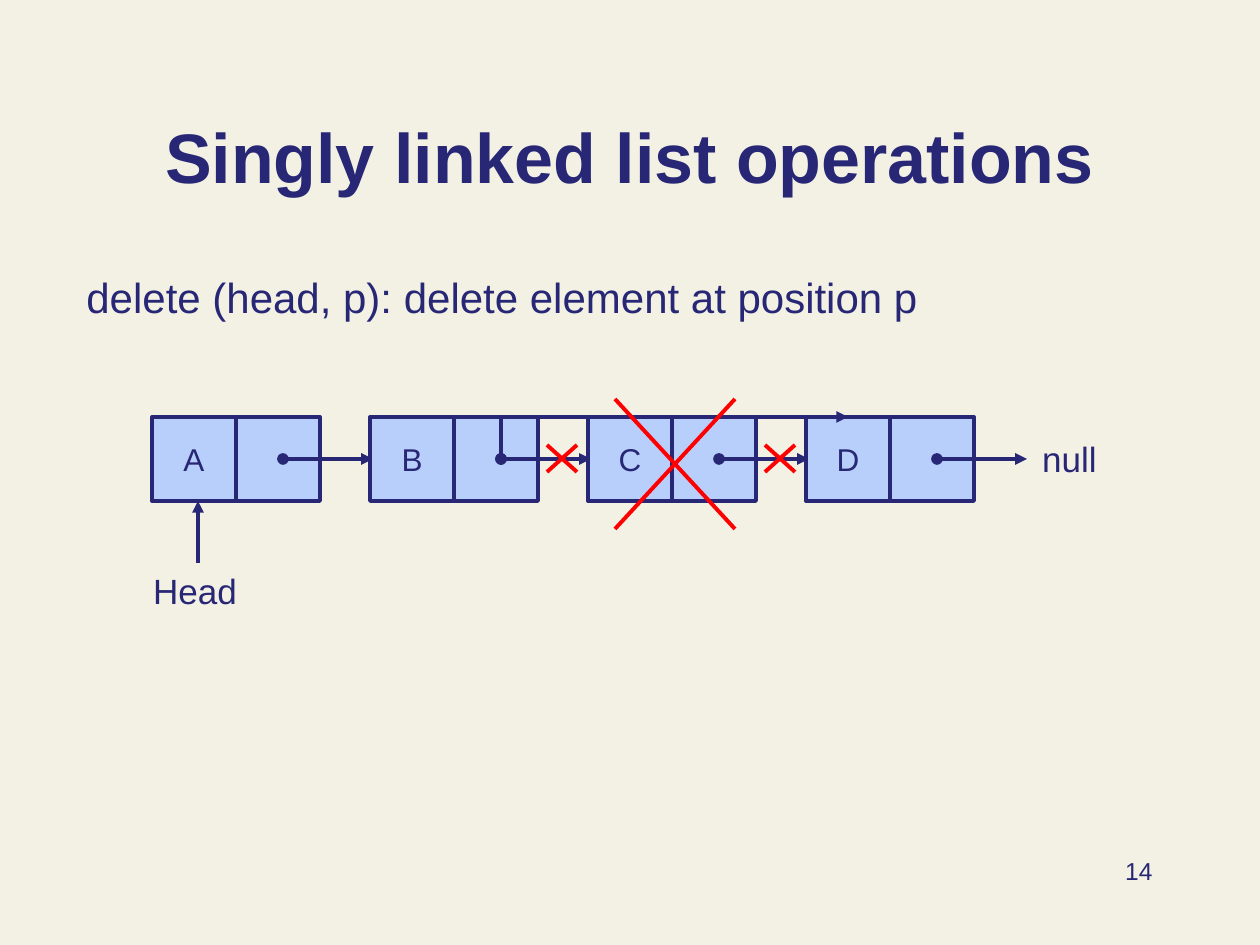
"""Builds a slide on deleting an element from a singly linked list."""
from lxml import etree
from pptx import Presentation
from pptx.dml.color import RGBColor
from pptx.enum.shapes import MSO_CONNECTOR, MSO_SHAPE
from pptx.enum.text import MSO_ANCHOR, MSO_AUTO_SIZE, PP_ALIGN
from pptx.oxml.ns import qn
from pptx.util import Pt

STRAIGHT, ELBOW = MSO_CONNECTOR.STRAIGHT, MSO_CONNECTOR.ELBOW
RECTANGLE = MSO_SHAPE.RECTANGLE
TOP, MIDDLE, BOTTOM = MSO_ANCHOR.TOP, MSO_ANCHOR.MIDDLE, MSO_ANCHOR.BOTTOM
LEFT, CENTER, RIGHT = PP_ALIGN.LEFT, PP_ALIGN.CENTER, PP_ALIGN.RIGHT
NO_AUTOFIT = MSO_AUTO_SIZE.NONE
TITLE_ONLY = 5

COLORS = {"background": "F3F1E4", "ink": "272776", "cell": "B8CFFB", "delete": "FF0000"}
FONT = "Arial"
LINE_WIDTH = Pt(2.25)
EMU_PER_PX = 914400 / 126

CELL = 84
NODE_LEFT, NODE_TOP, NODE_PITCH = 152, 417, 218
POINTER_OFFSET, POINTER_LENGTH = 131, 90
POINTER_Y = NODE_TOP + CELL // 2


def px(value):
    """Turns pixels into EMU."""
    return round(value * EMU_PER_PX)


def color(name):
    """Gives the named colour."""
    return RGBColor.from_string(COLORS[name])


def write_text(shape, text, size, align=CENTER, anchor=TOP, bold=False, wrap=True):
    """Puts one formatted paragraph in a shape."""
    frame = shape.text_frame
    frame.auto_size = NO_AUTOFIT
    frame.word_wrap = wrap
    frame.vertical_anchor = anchor
    paragraph = frame.paragraphs[0]
    paragraph.alignment = align
    run = paragraph.add_run()
    run.text = text
    run.font.name = FONT
    run.font.size = Pt(size)
    run.font.bold = bold
    run.font.color.rgb = color("ink")


def add_title(slide, text, left, top, width, height):
    """Places and fills the title placeholder."""
    title = slide.shapes.title
    title.left, title.top = px(left), px(top)
    title.width, title.height = px(width), px(height)
    write_text(title, text, 40, anchor=BOTTOM, bold=True)


def add_label(slide, text, left, top, width, height, **text_format):
    """Adds a text box."""
    box = slide.shapes.add_textbox(px(left), px(top), px(width), px(height))
    write_text(box, text, **text_format)


def add_cell(slide, left, text=None):
    """Adds one square of a list node."""
    cell = slide.shapes.add_shape(RECTANGLE, px(left), px(NODE_TOP), px(CELL), px(CELL))
    cell.shadow.inherit = False
    cell.fill.solid()
    cell.fill.fore_color.rgb = color("cell")
    cell.line.color.rgb = color("ink")
    cell.line.width = LINE_WIDTH
    if text:
        write_text(cell, text, 18, anchor=MIDDLE)


def add_line(slide, start, end, kind=STRAIGHT, line_color="ink", head=None, tail=None):
    """Adds a connector with optional ends and returns it."""
    connector = slide.shapes.add_connector(kind, *map(px, (*start, *end)))
    connector.line.color.rgb = color(line_color)
    connector.line.width = LINE_WIDTH
    line = connector.line._get_or_add_ln()
    for tag, end_type in (("a:headEnd", head), ("a:tailEnd", tail)):
        if end_type:
            etree.SubElement(line, qn(tag), type=end_type)
    etree.SubElement(connector._element.spPr, qn("a:effectLst"))
    return connector


def add_node(slide, left, text):
    """Adds a data cell, a link cell and the pointer to the next node."""
    add_cell(slide, left, text)
    add_cell(slide, left + CELL)
    start = left + POINTER_OFFSET
    add_line(slide, (start, POINTER_Y), (start + POINTER_LENGTH, POINTER_Y),
             head="oval", tail="triangle")


def add_bypass(slide, start, end):
    """Adds a pointer that goes straight up before it turns to its end."""
    connector = add_line(slide, start, end, kind=ELBOW, head="oval", tail="triangle")
    geometry = connector._element.spPr.find(qn("a:prstGeom"))
    adjustments = geometry.find(qn("a:avLst"))
    etree.SubElement(adjustments, qn("a:gd"), name="adj1", fmla="val 0")


def add_cross(slide, left, top, right, bottom):
    """Adds two crossing lines that mark a deletion."""
    add_line(slide, (left, top), (right, bottom), line_color="delete")
    add_line(slide, (right, top), (left, bottom), line_color="delete")


def main():
    """Builds and saves the slide."""
    presentation = Presentation()
    presentation.slide_width, presentation.slide_height = px(1260), px(945)
    slide = presentation.slides.add_slide(presentation.slide_layouts[TITLE_ONLY])
    slide.background.fill.solid()
    slide.background.fill.fore_color.rgb = color("background")

    add_title(slide, "Singly linked list operations", 94, 68, 1071, 136)
    add_label(slide, "delete (head, p): delete element at position p",
              74, 265, 1091, 113, size=24, align=LEFT)
    add_label(slide, "14", 903, 850, 262, 63, size=14, align=RIGHT)

    for index, letter in enumerate("ABCD"):
        add_node(slide, NODE_LEFT + index * NODE_PITCH, letter)
    add_label(slide, "null", 1029, 431, 81, 97, size=20, wrap=False)
    add_label(slide, "Head", 140, 563, 110, 55, size=20, wrap=False)
    add_line(slide, (198, 563), (198, NODE_TOP + CELL), tail="triangle")

    add_bypass(slide, (NODE_LEFT + NODE_PITCH + POINTER_OFFSET, POINTER_Y),
               (NODE_LEFT + 3 * NODE_PITCH + CELL // 2, NODE_TOP))
    for left in (547, 547 + NODE_PITCH):
        add_cross(slide, left, 445, left + 30, 472)
    add_cross(slide, 615, 399, 735, 529)
    presentation.save("out.pptx")


if __name__ == "__main__":
    main()
